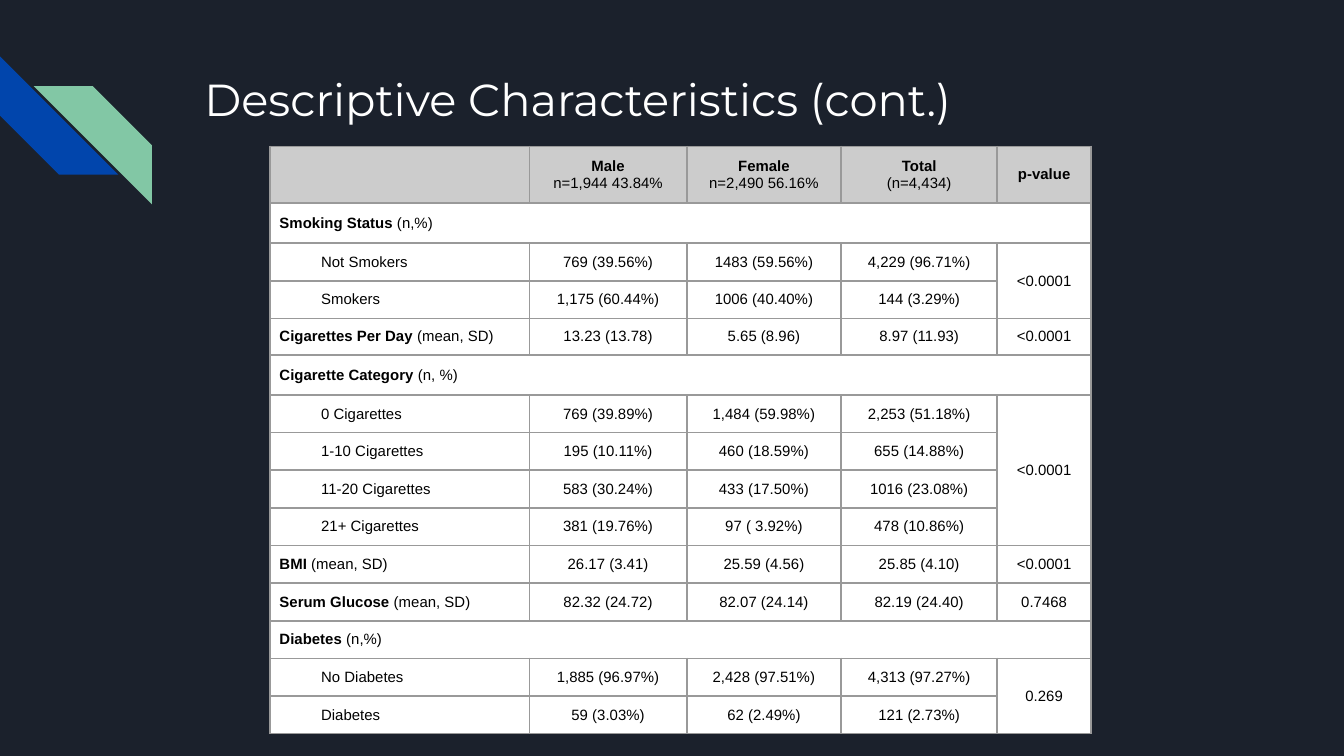
from lxml.etree import SubElement
from pptx import Presentation
from pptx.dml.color import RGBColor
from pptx.enum.shapes import MSO_SHAPE
from pptx.enum.text import MSO_ANCHOR, PP_ALIGN
from pptx.oxml.ns import qn
from pptx.util import Inches, Pt

COLORS = {
    "background": "1B212C", "blue": "0145AC", "green": "82C7A5",
    "title": "FFFFFF", "header": "CCCCCC", "body": "FFFFFF",
    "border": "999999", "text": "000000",
}
COLUMN_WIDTHS = [1.93, 1.17, 1.15, 1.16, 0.7]
ROW_HEIGHT = 0.28
SPECIAL_HEIGHTS = {0: 0.42, 1: 0.3, 4: 0.27, 5: 0.3}

# Bold and plain lines of each header cell
HEADERS = [
    (),
    ("Male", "n=1,944 43.84%"),
    ("Female", "n=2,490 56.16%"),
    ("Total", "(n=4,434)"),
    ("p-value",),
]
# Bold label, plain label, then male, female, total and p-value.
# A row without values is a section heading; a row without a p-value
# shares the one above it.
ROWS = [
    ("Smoking Status", " (n,%)"),
    ("", "Not Smokers", "769 (39.56%)", "1483 (59.56%)", "4,229 (96.71%)", "<0.0001"),
    ("", "Smokers", "1,175 (60.44%)", "1006 (40.40%)", "144 (3.29%)"),
    ("Cigarettes Per Day", " (mean, SD)", "13.23 (13.78)", "5.65 (8.96)", "8.97 (11.93)", "<0.0001"),
    ("Cigarette Category ", "(n, %)"),
    ("", "0 Cigarettes", "769 (39.89%)", "1,484 (59.98%)", "2,253 (51.18%)", "<0.0001"),
    ("", "1-10 Cigarettes", "195 (10.11%)", "460 (18.59%)", "655 (14.88%)"),
    ("", "11-20 Cigarettes", "583 (30.24%)", "433 (17.50%)", "1016 (23.08%)"),
    ("", "21+ Cigarettes", "381 (19.76%)", "97 ( 3.92%)", "478 (10.86%)"),
    ("BMI ", "(mean, SD)", "26.17 (3.41)", "25.59 (4.56)", "25.85 (4.10)", "<0.0001"),
    ("Serum Glucose", " (mean, SD)", "82.32 (24.72)", "82.07 (24.14)", "82.19 (24.40)", "0.7468"),
    ("Diabetes ", "(n,%)"),
    ("", "No Diabetes", "1,885 (96.97%)", "2,428 (97.51%)", "4,313 (97.27%)", "0.269"),
    ("", "Diabetes", "59 (3.03%)", "62 (2.49%)", "121 (2.73%)"),
]


def rgb(name):
    return RGBColor.from_string(COLORS[name])


def add_stripe(slide, left, top, color):
    stripe = slide.shapes.add_shape(
        MSO_SHAPE.DIAGONAL_STRIPE, Inches(left), Inches(top), Inches(0.88), Inches(0.88))
    stripe.shadow.inherit = False
    stripe.fill.solid()
    stripe.fill.fore_color.rgb = rgb(color)
    stripe.line.fill.background()
    return stripe


def set_title(slide, text):
    title = slide.shapes.title
    title.left, title.top = Inches(1.42), Inches(0.43)
    title.width, title.height = Inches(7.7), Inches(1)
    frame = title.text_frame
    frame.text = text
    frame.word_wrap = True
    frame.vertical_anchor = MSO_ANCHOR.TOP
    frame.margin_left = frame.margin_right = Inches(0.1)
    frame.margin_top = frame.margin_bottom = Inches(0.1)
    paragraph = frame.paragraphs[0]
    paragraph.alignment = PP_ALIGN.LEFT
    font = paragraph.runs[0].font
    font.size, font.name = Pt(24), "Montserrat"
    font.color.rgb = rgb("title")


def style_cell(cell, fill):
    cell.vertical_anchor = MSO_ANCHOR.MIDDLE
    cell.margin_left = cell.margin_right = Inches(0.07)
    cell.margin_top = cell.margin_bottom = Inches(0.07)
    properties = cell._tc.get_or_add_tcPr()
    for side in ("a:lnL", "a:lnR", "a:lnT", "a:lnB"):
        line = SubElement(properties, qn(side), w=str(Pt(1)))
        solid = SubElement(line, qn("a:solidFill"))
        SubElement(solid, qn("a:srgbClr"), val=COLORS["border"])
    cell.fill.solid()
    cell.fill.fore_color.rgb = rgb(fill)
    # Keep empty cells from stretching their row
    if not cell.text_frame.text:
        SubElement(cell.text_frame.paragraphs[0]._p, qn("a:endParaRPr"), sz="800")


def add_run(paragraph, text, bold=False):
    run = paragraph.add_run()
    run.text = text
    run.font.size, run.font.name, run.font.bold = Pt(8), "Arial", bold
    run.font.color.rgb = rgb("text")


def write_centered(cell, lines, header=False):
    frame = cell.text_frame
    for index, line in enumerate(lines):
        paragraph = frame.add_paragraph() if index else frame.paragraphs[0]
        paragraph.alignment = PP_ALIGN.CENTER
        add_run(paragraph, line, bold=header and index == 0)


def write_label(cell, bold_part, plain_part):
    paragraph = cell.text_frame.paragraphs[0]
    if bold_part:
        add_run(paragraph, bold_part, bold=True)
    else:
        indent = paragraph._p.get_or_add_pPr()
        indent.set("marL", str(Inches(0.31)))
        indent.set("indent", "0")
    add_run(paragraph, plain_part)


def add_characteristics_table(slide):
    heights = [SPECIAL_HEIGHTS.get(i, ROW_HEIGHT) for i in range(len(ROWS) + 1)]
    table = slide.shapes.add_table(
        len(heights), len(COLUMN_WIDTHS), Inches(2.01), Inches(1.09),
        Inches(sum(COLUMN_WIDTHS)), Inches(sum(heights))).table
    table.horz_banding = False
    for column, width in zip(table.columns, COLUMN_WIDTHS):
        column.width = Inches(width)
    for row, height in zip(table.rows, heights):
        row.height = Inches(height)

    for column, lines in enumerate(HEADERS):
        write_centered(table.cell(0, column), lines, header=True)

    last = len(COLUMN_WIDTHS) - 1
    p_value_row = 0
    shared = {}  # first row of a p-value -> last row it covers
    for row, (bold_part, plain_part, *values) in enumerate(ROWS, start=1):
        write_label(table.cell(row, 0), bold_part, plain_part)
        for column, value in enumerate(values, start=1):
            write_centered(table.cell(row, column), [value])
        if not values:
            table.cell(row, 0).merge(table.cell(row, last))
        elif len(values) == last:
            p_value_row = row
        else:
            shared[p_value_row] = row
    for first_row, last_row in shared.items():
        table.cell(first_row, last).merge(table.cell(last_row, last))

    for row in range(len(heights)):
        for column in range(len(COLUMN_WIDTHS)):
            style_cell(table.cell(row, column), "body" if row else "header")


def main():
    deck = Presentation()
    # Widescreen, 16:9
    deck.slide_width = Inches(10)
    deck.slide_height = Inches(10) * 9 // 16
    slide = deck.slides.add_slide(deck.slide_layouts[5])
    slide.background.fill.solid()
    slide.background.fill.fore_color.rgb = rgb("background")

    # Corner decoration
    blue_stripe = add_stripe(slide, 0, 0.42, "blue")
    blue_stripe.rotation = 270
    green_stripe = add_stripe(slide, 0.25, 0.64, "green")
    green_stripe._element.spPr.xfrm.set("flipH", "1")

    set_title(slide, "Descriptive Characteristics (cont.)")
    add_characteristics_table(slide)
    deck.save("out.pptx")


if __name__ == "__main__":
    main()
